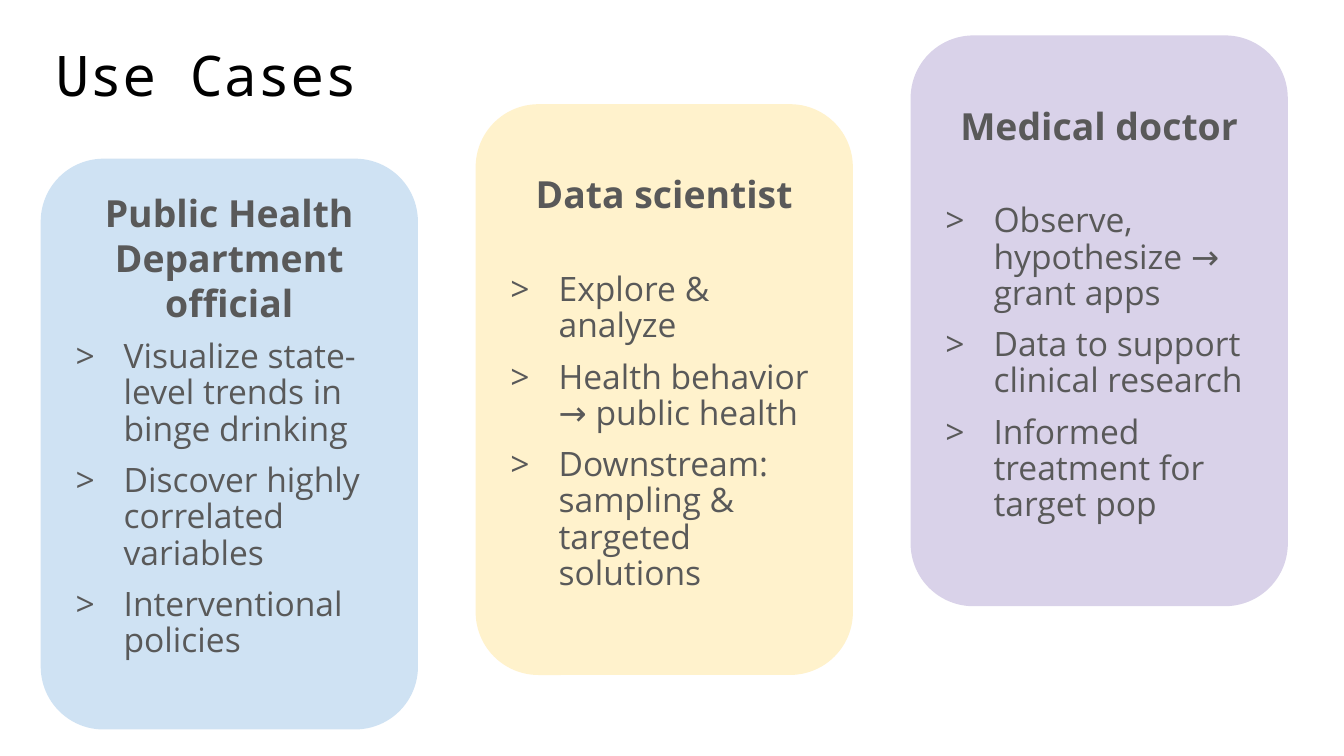
from lxml.etree import SubElement
from pptx import Presentation
from pptx.dml.color import RGBColor
from pptx.enum.shapes import MSO_SHAPE
from pptx.enum.text import MSO_ANCHOR, PP_ALIGN
from pptx.oxml.ns import qn
from pptx.util import Cm, Pt

BLACK = RGBColor(0x00, 0x00, 0x00)
GRAY = RGBColor(0x59, 0x59, 0x59)
BLUE = RGBColor(0xCF, 0xE2, 0xF3)
YELLOW = RGBColor(0xFF, 0xF2, 0xCC)
PURPLE = RGBColor(0xD9, 0xD2, 0xE9)

CARD_LEFT, CARD_STEP = 0.77, 8.22
CARD_WIDTH, CARD_HEIGHT = 7.13, 10.79
INSET, HEADING_DROP = 0.25, 0.77

CARDS = [
    ("Public Health Department official", BLUE, 3.0, False, [
        "Visualize state-level trends in binge drinking",
        "Discover highly correlated variables",
        "Interventional policies",
    ]),
    ("Data scientist", YELLOW, 1.97, True, [
        "Explore & analyze",
        "Health behavior → public health",
        "Downstream: sampling & targeted solutions",
    ]),
    ("Medical doctor", PURPLE, 0.67, True, [
        "Observe, hypothesize → grant apps",
        "Data to support clinical research",
        "Informed treatment for target pop",
    ]),
]


class UseCaseSlide:
    title_font = "Noto Sans Mono"
    body_font = "Open Sans"

    def __init__(self, deck):
        self.page = deck.slides.add_slide(deck.slide_layouts[6])

    def style(self, para, name, size, color, bold=False):
        para.font.name = name
        para.font.size = Pt(size)
        para.font.bold = bold
        para.font.color.rgb = color

    def title(self, text):
        box = self.page.shapes.add_textbox(Cm(0.87), Cm(0.56), Cm(23.67), Cm(1.6))
        frame = box.text_frame
        frame.word_wrap = True
        frame.vertical_anchor = MSO_ANCHOR.BOTTOM
        frame.margin_left = frame.margin_right = Cm(0.18)
        frame.margin_top = frame.margin_bottom = Cm(0.1)
        para = frame.paragraphs[0]
        para.text = text
        para.line_spacing = 0.9
        self.style(para, self.title_font, 30, BLACK)

    def card(self, left, top, fill, heading, lowered, points):
        box = self.page.shapes.add_shape(
            MSO_SHAPE.ROUNDED_RECTANGLE,
            Cm(left), Cm(top), Cm(CARD_WIDTH), Cm(CARD_HEIGHT))
        box.shadow.inherit = False
        box.fill.solid()
        box.fill.fore_color.rgb = fill
        box.line.fill.background()
        frame = box.text_frame
        frame.word_wrap = True
        frame.vertical_anchor = MSO_ANCHOR.TOP
        frame.margin_left = frame.margin_right = frame.margin_bottom = Cm(INSET)
        frame.margin_top = Cm(INSET + HEADING_DROP * lowered)
        para = frame.paragraphs[0]
        para.text = heading
        para.alignment = PP_ALIGN.CENTER
        if lowered:
            para.line_spacing = 0.9
            para.space_after = Cm(HEADING_DROP)
        self.style(para, self.body_font, 20, GRAY, bold=True)
        for point in points:
            self.bullet(frame.add_paragraph(), point)

    def bullet(self, para, text):
        para.text = text
        para.alignment = PP_ALIGN.LEFT
        para.line_spacing = 0.9
        para.space_before = Pt(8)
        properties = para._p.get_or_add_pPr()
        properties.set("marL", str(Cm(0.97)))
        properties.set("indent", str(-Cm(0.91)))
        color = SubElement(properties, qn("a:buClr"))
        SubElement(color, qn("a:srgbClr"), val=str(GRAY))
        SubElement(properties, qn("a:buFont"), typeface=self.body_font)
        SubElement(properties, qn("a:buChar"), char=">")
        self.style(para, self.body_font, 18, GRAY)


def main():
    deck = Presentation()
    deck.slide_width, deck.slide_height = Cm(25.4), Cm(14.29)
    slide = UseCaseSlide(deck)
    slide.title("Use Cases")
    for column, (heading, fill, top, lowered, points) in enumerate(CARDS):
        left = CARD_LEFT + column * CARD_STEP
        slide.card(left, top, fill, heading, lowered, points)
    deck.save("out.pptx")


if __name__ == "__main__":
    main()
